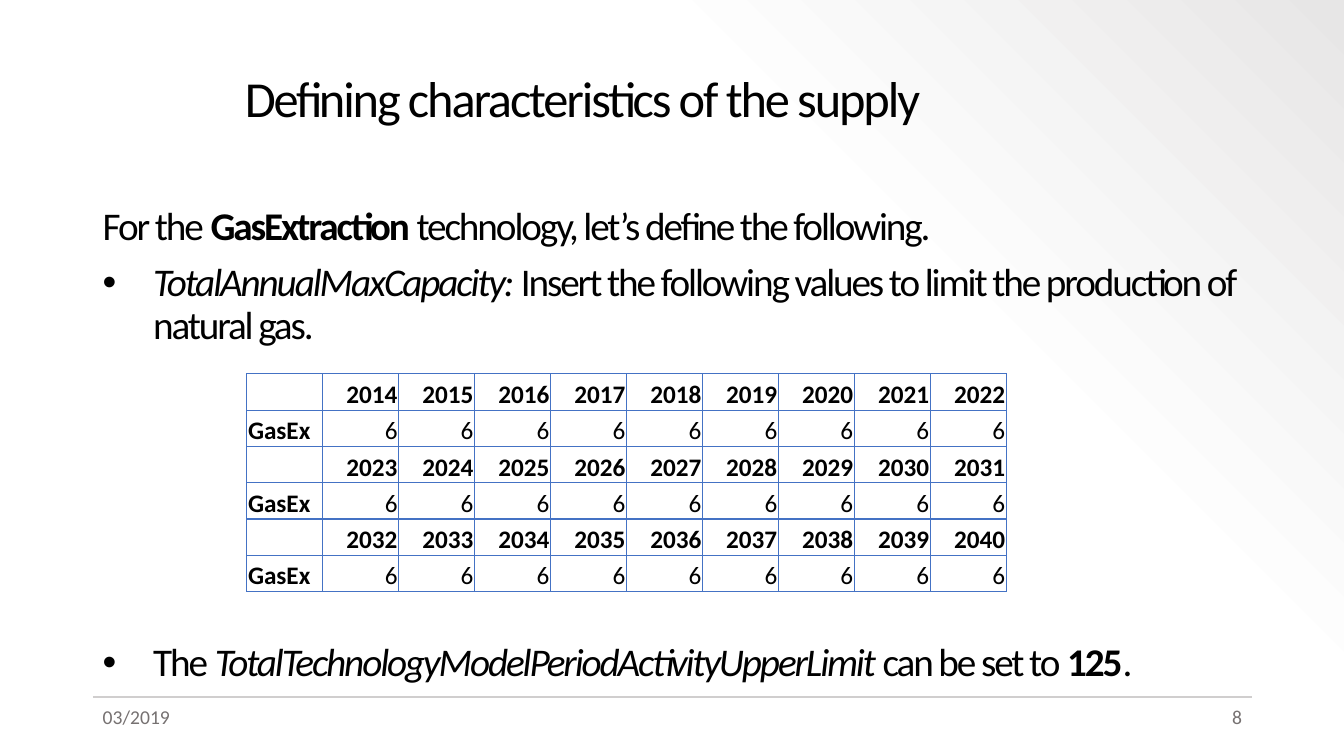
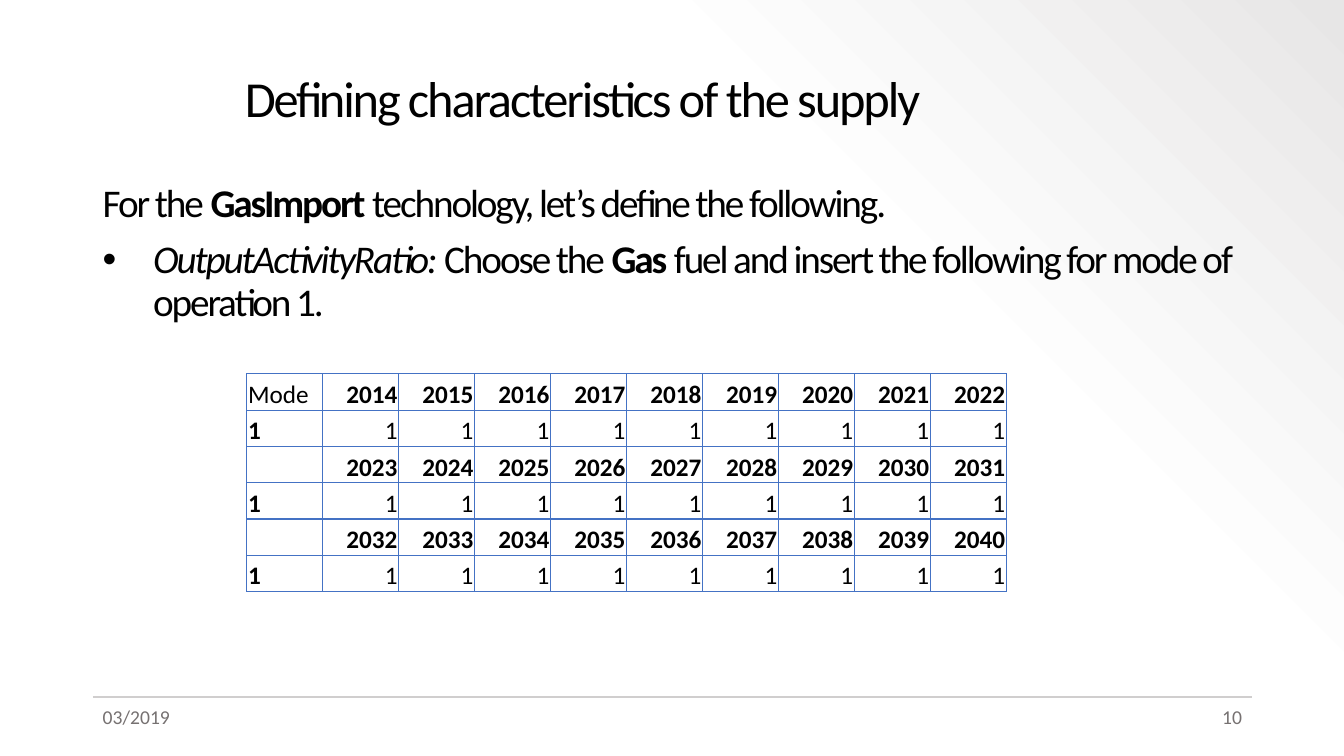
import dataclasses
import lxml.etree
import pptx
import pptx.dml.color
import pptx.enum.text
import pptx.oxml.ns
import pptx.util

Cm = pptx.util.Cm
Pt = pptx.util.Pt
Align = pptx.enum.text.PP_ALIGN
Anchor = pptx.enum.text.MSO_ANCHOR


@dataclasses.dataclass(frozen=True)
class Theme:
    font: str = "Calibri"
    ink: str = "000000"
    muted: str = "767171"
    rule: str = "D0CECE"
    grid: str = "4472C4"
    stops: tuple = ((0, "FFFFFF", 100), (69, "FDFDFD", 100), (100, "E7E6E6", 50))
    title: int = 36
    body: int = 28
    cell: int = 18
    foot: int = 14
    tight: int = -150


theme = Theme()


def node(parent, tag, **attrs):
    item = lxml.etree.SubElement(parent, pptx.oxml.ns.qn(tag))
    for key, value in attrs.items():
        item.set(key, str(value))
    return item


def style(para, size, color, bold=None, align=None):
    para.font.name = theme.font
    para.font.size = Pt(size)
    para.font.color.rgb = pptx.dml.color.RGBColor.from_string(color)
    para.font.bold = bold
    para.alignment = align


pages = [
    {
        "num": "8",
        "top": 5.08,
        "text": [
            (False, 0, [("For the ", ""), ("GasExtraction ", "b"),
                        ("technology, let’s define the following.", "")]),
            (True, 10, [("TotalAnnualMaxCapacity: ", "i"),
                        ("Insert the following values to limit the production of natural gas.", "")]),
            (True, 211, [("The ", ""), ("TotalTechnologyModelPeriodActivityUpperLimit", "i"),
                         (" can be set to ", ""), ("125", "b"), (".", "")]),
        ],
        "head": "",
        "label": "GasEx",
        "value": "6",
    },
    {
        "num": "10",
        "top": 4.5,
        "text": [
            (False, 0, [("For the ", ""), ("GasImport ", "b"),
                        ("technology, let’s define the following.", "")]),
            (True, 10, [("OutputActivityRatio: ", "i"), ("Choose the ", ""), ("Gas", "b"),
                        (" fuel and insert the following for mode of operation 1.", "")]),
        ],
        "head": "Mode",
        "label": "1",
        "value": "1",
    },
]

deck = pptx.Presentation()
deck.slide_width = Cm(33.87)
deck.slide_height = Cm(19.05)

back = deck.slide_master.background.fill
back.gradient()
back.gradient_angle = 45
stops = deck.slide_master.element.xpath(".//p:bg//a:gsLst")[0]
for old in list(stops):
    stops.remove(old)
for pos, color, alpha in theme.stops:
    stop = node(stops, "a:gs", pos=pos * 1000)
    tint = node(stop, "a:srgbClr", val=color)
    if alpha < 100:
        node(tint, "a:alpha", val=alpha * 1000)

left, wide = 2.34, 29.21
small = 3.3
right = left + wide

for page in pages:
    slide = deck.slides.add_slide(deck.slide_layouts[6])
    shapes = slide.shapes

    rule = shapes.add_connector(1, Cm(left), Cm(17.57), Cm(right), Cm(17.57))
    rule.line.color.rgb = pptx.dml.color.RGBColor.from_string(theme.rule)
    rule.line.width = Pt(1.5)
    node(rule._element.spPr, "a:effectLst")

    body = shapes.add_textbox(Cm(left), Cm(page["top"]), Cm(wide), Cm(17.4 - page["top"])).text_frame
    body.word_wrap = True
    for idx, (dot, gap, runs) in enumerate(page["text"]):
        para = body.add_paragraph() if idx else body.paragraphs[0]
        para.line_spacing = 0.9
        if gap:
            para.space_before = Pt(gap)
        if dot:
            props = para._p.get_or_add_pPr()
            props.set("marL", str(Cm(1.27)))
            props.set("indent", str(-Cm(1.27)))
            node(props, "a:buFont", typeface="Arial")
            node(props, "a:buChar", char="•")
        style(para, theme.body, theme.ink)
        for text, mark in runs:
            run = para.add_run()
            run.text = text
            run.font.bold = True if mark == "b" else None
            run.font.italic = True if mark == "i" else None
            run._r.get_or_add_rPr().set("spc", str(theme.tight))

    table = shapes.add_table(6, 10, Cm(6.22), Cm(9.42), Cm(19.15), Cm(5.49)).table
    table.first_row = False
    table.horz_banding = False
    for row in range(6):
        block, data = divmod(row, 2)
        for col in range(10):
            if col:
                text = page["value"] if data else str(2013 + 9 * block + col)
            else:
                text = page["label"] if data else page["head"] if row == 0 else ""
            cell = table.cell(row, col)
            cell.text = text
            cell.vertical_anchor = Anchor.BOTTOM
            cell.margin_left = cell.margin_right = cell.margin_top = Cm(0.03)
            cell.margin_bottom = 0
            cell.fill.background()
            style(cell.text_frame.paragraphs[0], theme.cell, theme.ink,
                  bool(data) != bool(col), Align.RIGHT if col else Align.LEFT)
            props = cell._tc.get_or_add_tcPr()
            for idx, side in enumerate("LRTB"):
                edge = node(props, "a:ln" + side, w=Pt(1))
                node(node(edge, "a:solidFill"), "a:srgbClr", val=theme.grid)
                props.insert(idx, edge)

    title = shapes.add_textbox(Cm(5.92), Cm(1.02), Cm(25.6), Cm(3.05)).text_frame
    title.word_wrap = True
    title.vertical_anchor = Anchor.MIDDLE
    para = title.paragraphs[0]
    para.line_spacing = 0.9
    style(para, theme.title, theme.ink)
    run = para.add_run()
    run.text = "Defining characteristics of the supply"
    run._r.get_or_add_rPr().set("spc", str(theme.tight))

    for start, text, align in (
        (left, "03/2019", Align.LEFT),
        (right - small, page["num"], Align.RIGHT),
    ):
        foot = shapes.add_textbox(Cm(start), Cm(17.65), Cm(small), Cm(1.02)).text_frame
        foot.word_wrap = True
        foot.text = text
        style(foot.paragraphs[0], theme.foot, theme.muted, align=align)

deck.save("out.pptx")
